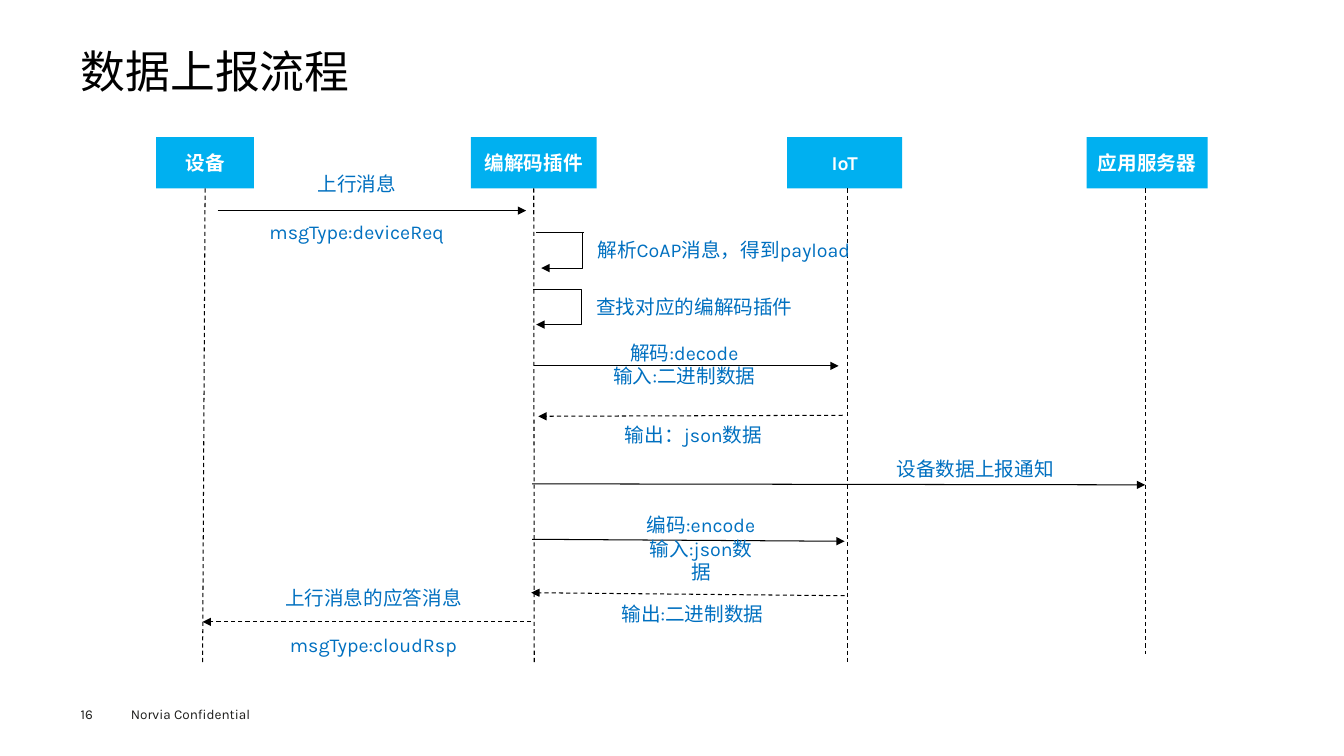
import pptx
import pptx.dml.color
import pptx.enum.dml
import pptx.enum.shapes
import pptx.enum.text
import pptx.oxml
import pptx.oxml.ns
import pptx.util

# The slide is a grid of square cells, ten to the inch.
COLUMNS, ROWS = 133.33, 75
CELL = pptx.util.Inches(0.1)
FONT = "Karla"
BLACK, WHITE, SKY, BLUE, INK = "000000", "FFFFFF", "00B0F0", "0070C0", "1D1D1B"
LABEL_INSETS = (1.1, 0.5)
ALIGN = pptx.enum.text.PP_ALIGN
ANCHOR = pptx.enum.text.MSO_ANCHOR
CONNECTOR = pptx.enum.shapes.MSO_CONNECTOR

BOX_TOP, BOX_HEIGHT = 13.6, 5.1
# name, left, width, lifeline top x, lifeline bottom x, lifeline bottom y
PARTICIPANTS = [
    ("设备", 15.5, 9.7, 20.35, 20.1, 65.8),
    ("编解码插件", 46.7, 12.5, 52.95, 53, 65.8),
    ("IoT", 78.1, 11.4, 84.1, 84.1, 65.8),
    ("应用服务器", 107.8, 12, 113.6, 113.6, 64.9),
]

# start x, start y, end x, end y, dashed
MESSAGES = [
    (21.6, 20.9, 52.2, 20.9, False),
    (53, 36.3, 83.2, 36.3, False),
    (83.6, 41.2, 53.4, 41.3, True),
    (52.8, 48, 113.6, 48.1, False),
    (52.8, 53.5, 83.8, 53.7, False),
    (83.8, 59.1, 52.7, 58.8, True),
    (52.7, 61.7, 20.1, 61.7, True),
]

# stub start x, stub end x, top, elbow start x, elbow end x, bottom, bend
SELF_CALLS = [
    (53.2, 57.9, 23.1, 57.7, 53.7, 26.6, -0.013),
    (52.9, 57.4, 28.7, 57.3, 53.2, 32.2, -0.092),
]

# left, top, width, height, lines, points between lines
LABELS = [
    (24.2, 16.6, 22.4, 8.2, ["上行消息", "msgType:deviceReq"], 17),
    (57.9, 23.1, 27.8, 3.5, ["解析CoAP消息，得到payload"], 0),
    (58, 28.8, 21.8, 3.5, ["查找对应的编解码插件"], 0),
    (59.7, 33.3, 16.4, 8.2, ["解码:decode", "输入:二进制数据"], 0),
    (60.7, 41.5, 16.2, 3.5, ["输出：json数据"], 0),
    (87.8, 44.8, 17.9, 3.5, ["设备数据上报通知"], 0),
    (62.5, 50.4, 14.1, 5.8, ["编码:encode", "输入:json数据"], 0),
    (60.5, 59.2, 16.4, 3.5, ["输出:二进制数据"], 0),
    (27.1, 57.6, 19.9, 8.2, ["上行消息的应答消息", "msgType:cloudRsp"], 17),
]


def cells(*counts):
    return [round(count * CELL) for count in counts]


def color(hex_code):
    return pptx.dml.color.RGBColor.from_string(hex_code)


def apply(target, values):
    for name, value in values.items():
        setattr(target, name, value)


def write(shape, lines, size, hex_code, insets, bold=False, align=ALIGN.CENTER,
          anchor=ANCHOR.TOP, gap=0, spacing=1.0):
    """Fill a shape with one paragraph per line; gap is points between them."""
    frame = shape.text_frame
    side, edge = cells(*insets)
    apply(frame, {
        "auto_size": pptx.enum.text.MSO_AUTO_SIZE.NONE, "word_wrap": True,
        "vertical_anchor": anchor, "margin_left": side, "margin_right": side,
        "margin_top": edge, "margin_bottom": edge,
    })
    for index, line in enumerate(lines):
        para = frame.add_paragraph() if index else frame.paragraphs[0]
        apply(para, {"alignment": align, "line_spacing": spacing,
                     "space_before": pptx.util.Pt(gap if index else 0)})
        span = para.add_run()
        span.text = line
        apply(span.font, {"name": FONT, "size": pptx.util.Pt(size), "bold": bold})
        span.font.color.rgb = color(hex_code)


def add_text(page, area, lines, size, hex_code, insets, **style):
    box = page.shapes.add_textbox(*cells(*area))
    write(box, lines, size, hex_code, insets, **style)


def add_line(page, start, end, kind=CONNECTOR.STRAIGHT, dashed=False, arrow=False):
    line = page.shapes.add_connector(kind, *cells(*start, *end))
    line.line.color.rgb = color(BLACK)
    line.line.width = pptx.util.Pt(0.75)
    if dashed:
        line.line.dash_style = pptx.enum.dml.MSO_LINE.DASH
    properties = line.element.spPr
    if arrow:
        tail = pptx.oxml.parse_xml(
            f'<a:tailEnd {pptx.oxml.ns.nsdecls("a")} type="triangle"/>')
        line.line.fill  # the line element must precede its arrowhead
        properties.find(pptx.oxml.ns.qn("a:ln")).append(tail)
    properties.append(pptx.oxml.parse_xml(
        f'<a:effectLst {pptx.oxml.ns.nsdecls("a")}/>'))
    return line


def add_participant(page, name, left, width, top_x, bottom_x, bottom_y):
    """Draw a participant's box and its lifeline."""
    box = page.shapes.add_shape(pptx.enum.shapes.MSO_SHAPE.RECTANGLE,
                                *cells(left, BOX_TOP, width, BOX_HEIGHT))
    box.shadow.inherit = False
    box.fill.solid()
    box.fill.fore_color.rgb = color(SKY)
    box.line.fill.background()
    write(box, [name], 14, WHITE, (1, 0.5), bold=True, anchor=ANCHOR.MIDDLE)
    lifeline = add_line(page, (top_x, BOX_TOP + BOX_HEIGHT), (bottom_x, bottom_y),
                        dashed=True)
    if abs(left + width / 2 - top_x) < 0.1:
        lifeline.begin_connect(box, 2)


def add_self_call(page, stub_x, stub_end, top, elbow_x, end_x, bottom, bend):
    """Draw a message that leaves a lifeline and comes back to it."""
    add_line(page, (stub_x, top), (stub_end, top))
    elbow = add_line(page, (elbow_x, top), (end_x, bottom), CONNECTOR.ELBOW, arrow=True)
    geometry = elbow.element.spPr.find(pptx.oxml.ns.qn("a:prstGeom"))
    for old in geometry.findall(pptx.oxml.ns.qn("a:avLst")):
        geometry.remove(old)
    geometry.append(pptx.oxml.parse_xml(
        f'<a:avLst {pptx.oxml.ns.nsdecls("a")}>'
        f'<a:gd name="adj1" fmla="val {round(bend * 100000)}"/></a:avLst>'))


def add_title(page, words):
    title = page.shapes.title
    apply(title, dict(zip(("left", "top", "width", "height"),
                          cells(8, 4.9, 117.3, 5.4))))
    write(title, [words], 32, BLACK, (0, 0), align=ALIGN.LEFT, spacing=0.9)


def main():
    deck = pptx.Presentation()
    deck.slide_width, deck.slide_height = cells(COLUMNS, ROWS)
    page = deck.slides.add_slide(deck.slide_layouts.get_by_name("Title Only"))
    add_title(page, "数据上报流程")
    add_text(page, (12, 69.5, 20, 2.7), ["Norvia Confidential"], 9.7, INK, (1, 0.5),
             align=ALIGN.LEFT)
    add_text(page, (8, 70, 5.5, 1.6), ["16"], 9.7, INK, (0, 0), align=ALIGN.LEFT)
    for participant in PARTICIPANTS:
        add_participant(page, *participant)
    for x1, y1, x2, y2, dashed in MESSAGES:
        add_line(page, (x1, y1), (x2, y2), dashed=dashed, arrow=True)
    for self_call in SELF_CALLS:
        add_self_call(page, *self_call)
    for *area, lines, gap in LABELS:
        add_text(page, area, lines, 14, BLUE, LABEL_INSETS, gap=gap)
    deck.save("out.pptx")


if __name__ == "__main__":
    main()
